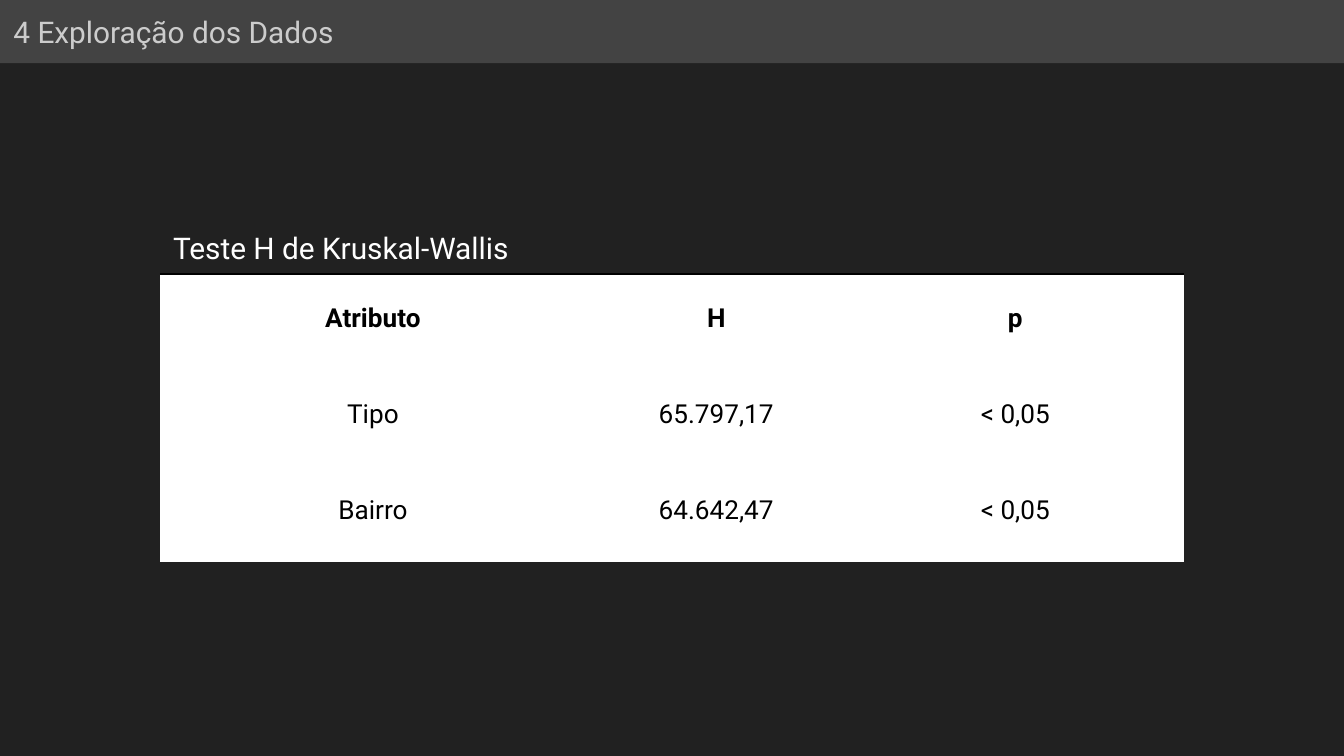
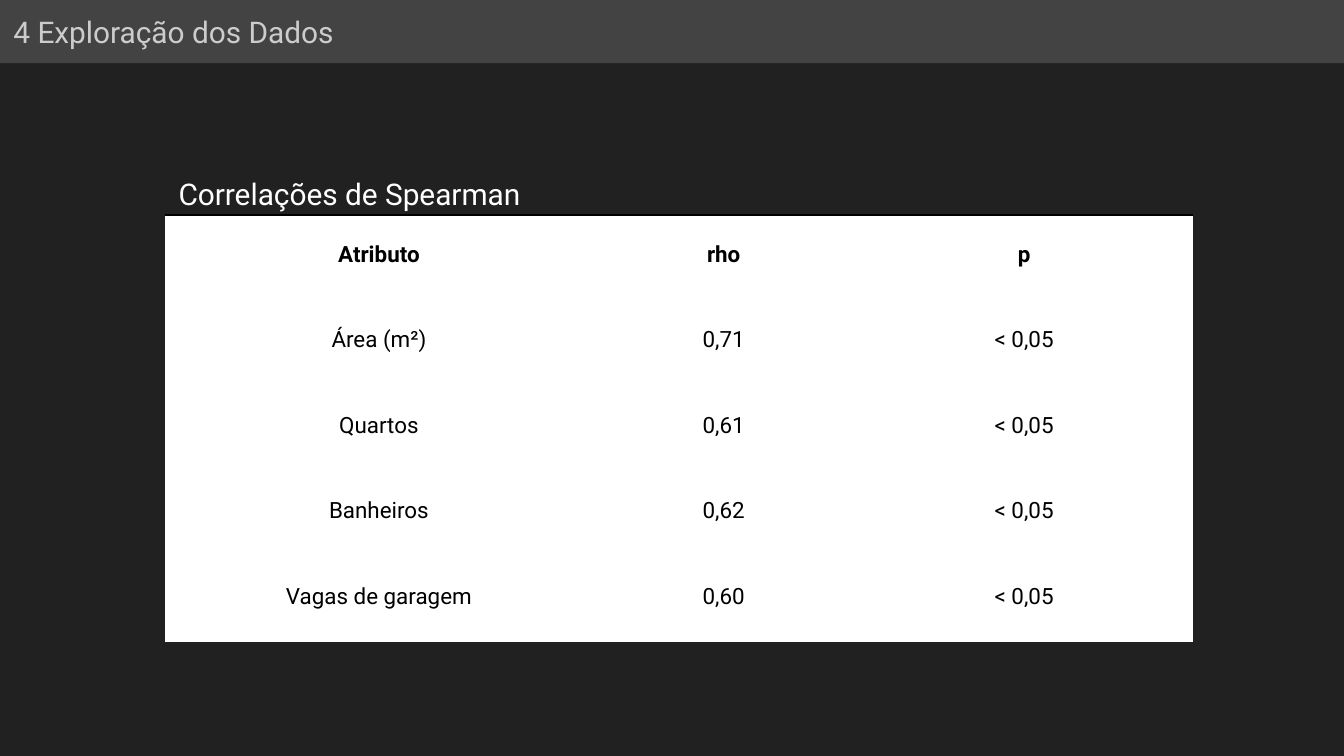
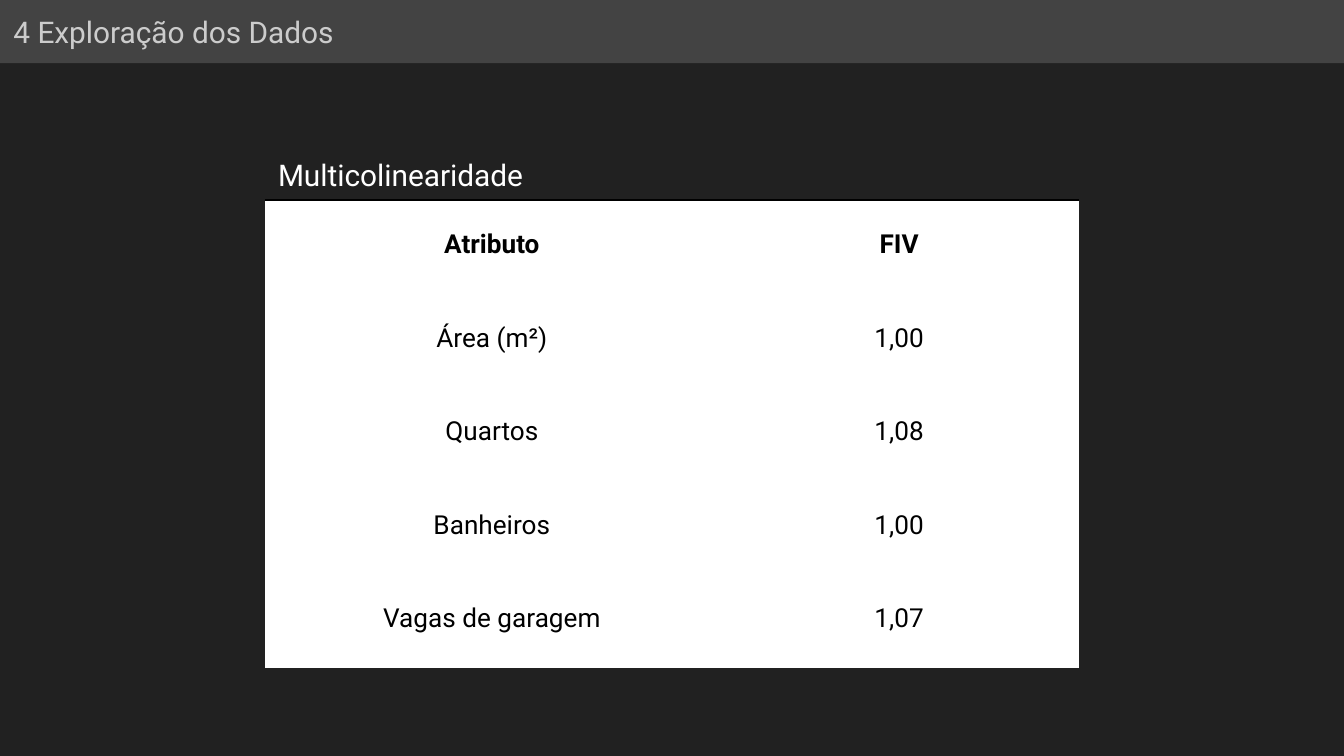
from lxml import etree
from pptx import Presentation
from pptx import util as u
from pptx.dml.color import RGBColor
from pptx.enum import text
from pptx.oxml import ns

FONT = "Roboto"
BACKGROUND, BAND, TITLE = "212121", "434343", "CCCCCC"
WHITE, BLACK = "FFFFFF", "000000"
NO_GRID_STYLE = "{2D5ABB26-0587-4C30-8999-92F81FD0307C}"
SECTION = "4 Exploração dos Dados"

TABLES = [
    dict(caption="Teste H de Kruskal-Wallis", caption_top=1.66, caption_width=2.8,
         left=1.19, top=2.04, widths=[3.17, 1.94, 2.51], height=2.14, size=14,
         rows=[["Atributo", "H", "p"],
               ["Tipo", "65.797,17", "< 0,05"],
               ["Bairro", "64.642,47", "< 0,05"]]),
    dict(caption="Correlações de Spearman", caption_top=1.26, caption_width=2.78,
         left=1.23, top=1.6, widths=[3.18, 1.95, 2.52], height=3.18, size=12,
         rows=[["Atributo", "rho", "p"],
               ["Área (m²)", "0,71", "< 0,05"],
               ["Quartos", "0,61", "< 0,05"],
               ["Banheiros", "0,62", "< 0,05"],
               ["Vagas de garagem", "0,60", "< 0,05"]]),
    dict(caption="Multicolinearidade", caption_top=1.12, caption_width=2.05,
         left=1.97, top=1.49, widths=[3.38, 2.68], height=3.48, size=14,
         rows=[["Atributo", "FIV"],
               ["Área (m²)", "1,00"],
               ["Quartos", "1,08"],
               ["Banheiros", "1,00"],
               ["Vagas de garagem", "1,07"]]),
]


def paint(target, color):
    """Give a fill format a solid colour from a hex string."""
    target.solid()
    target.fore_color.rgb = RGBColor.from_string(color)


def write(frame, content, size=16, color=WHITE, bold=False, align="LEFT", spacing=1.0):
    """Put one formatted paragraph into a text frame."""
    paragraph = frame.paragraphs[0]
    paragraph.alignment = getattr(text.PP_ALIGN, align)
    paragraph.line_spacing = spacing
    run = paragraph.add_run()
    run.text = content
    run.font.name, run.font.size, run.font.bold = FONT, u.Pt(size), bold
    paint(run.font.fill, color)


def top_border(cell, color, points):
    """Draw a line along the top of a table cell."""
    line = etree.Element(ns.qn("a:lnT"), w=str(u.Pt(points)))
    fill = etree.SubElement(line, ns.qn("a:solidFill"))
    etree.SubElement(fill, ns.qn("a:srgbClr"), val=color)
    cell._tc.get_or_add_tcPr().insert(0, line)


class Deck:
    """Hold the presentation, its style and the current slide."""

    def __init__(self):
        """Start an empty 16:9 presentation."""
        self.presentation = Presentation()
        self.presentation.slide_width = u.Inches(10)
        self.presentation.slide_height = u.Inches(10 * 9 / 16)
        self.slide = None

    def add_slide(self, title):
        """Add a dark slide whose title fills the top band."""
        self.slide = self.presentation.slides.add_slide(self.presentation.slide_layouts[5])
        paint(self.slide.background.fill, BACKGROUND)
        band = self.slide.shapes.title
        band.left, band.top = u.Inches(0), u.Inches(0)
        band.width, band.height = self.presentation.slide_width, u.Inches(0.47)
        paint(band.fill, BAND)
        frame = band.text_frame
        frame.margin_left = frame.margin_right = u.Inches(0.1)
        frame.margin_top = frame.margin_bottom = u.Inches(0.1)
        frame.vertical_anchor = text.MSO_ANCHOR.MIDDLE
        frame.auto_size = text.MSO_AUTO_SIZE.NONE
        write(frame, title, color=TITLE)

    def add_caption(self, content, left, top, width):
        """Add a table caption on a single line."""
        box = self.slide.shapes.add_textbox(
            u.Inches(left), u.Inches(top), u.Inches(width), u.Inches(0.37))
        box.text_frame.word_wrap = False
        box.text_frame.auto_size = text.MSO_AUTO_SIZE.SHAPE_TO_FIT_TEXT
        write(box.text_frame, content)

    def add_table(self, rows, left, top, widths, height, size):
        """Add a white table with a bold header under a black line."""
        shape = self.slide.shapes.add_table(
            len(rows), len(widths), u.Inches(left), u.Inches(top),
            u.Inches(sum(widths)), u.Inches(height))
        table = shape.table
        table.horz_banding = False
        table._tbl.tblPr.find(ns.qn("a:tableStyleId")).text = NO_GRID_STYLE
        for column, width in zip(table.columns, widths):
            column.width = u.Inches(width)
        for row_index, row in enumerate(rows):
            header = row_index == 0
            for column_index, content in enumerate(row):
                cell = table.cell(row_index, column_index)
                cell.margin_left = cell.margin_right = u.Inches(0.07)
                cell.margin_top = cell.margin_bottom = u.Inches(0.1)
                paint(cell.fill, WHITE)
                write(cell.text_frame, content, size=size, color=BLACK,
                      bold=header, align="CENTER", spacing=1.5)
                if header:
                    top_border(cell, BLACK, 1)


def main():
    """Build one slide for each statistical table."""
    deck = Deck()
    for item in TABLES:
        deck.add_slide(SECTION)
        deck.add_table(item["rows"], item["left"], item["top"],
                       item["widths"], item["height"], item["size"])
        deck.add_caption(item["caption"], item["left"],
                         item["caption_top"], item["caption_width"])
    deck.presentation.save("out.pptx")


if __name__ == "__main__":
    main()
